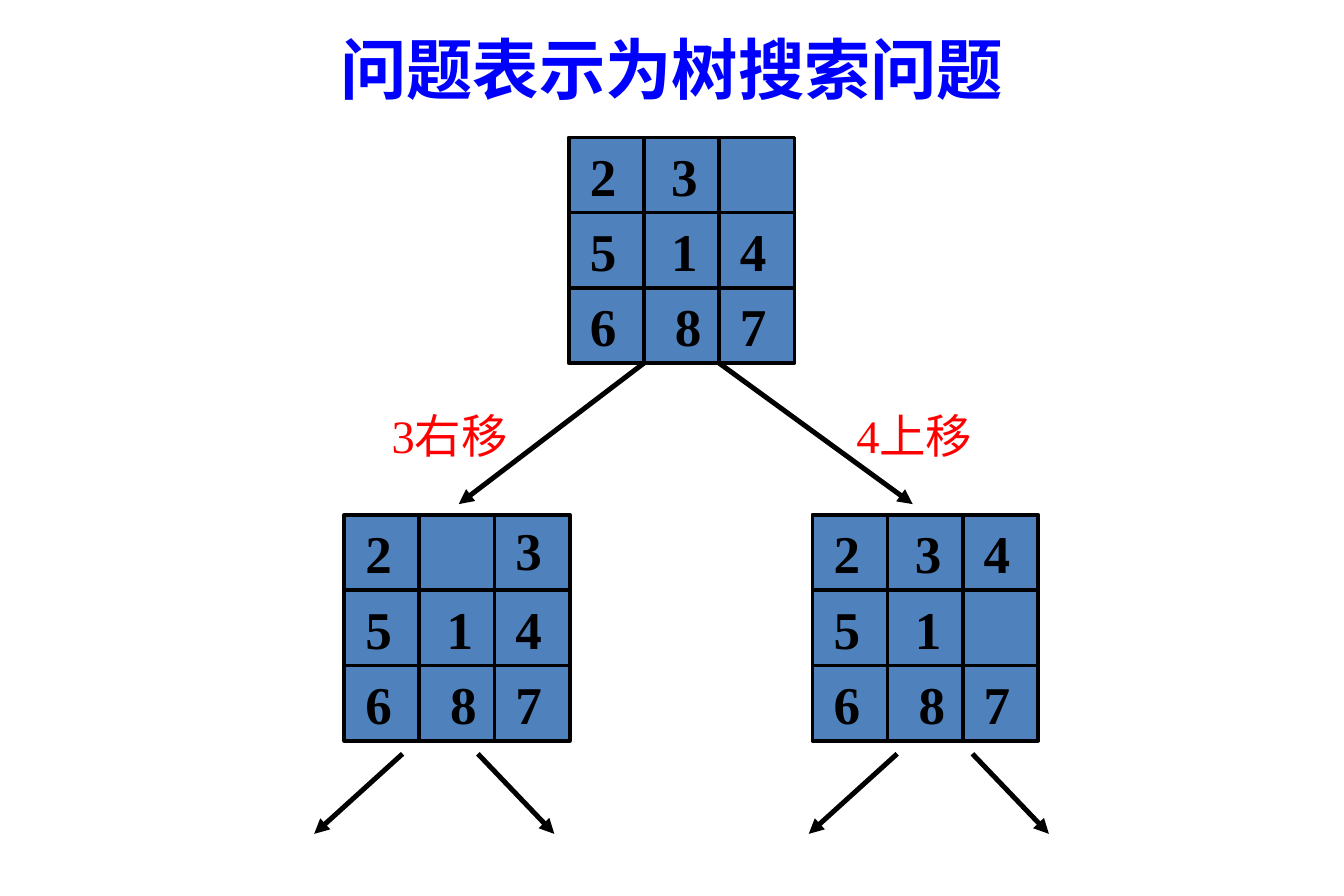
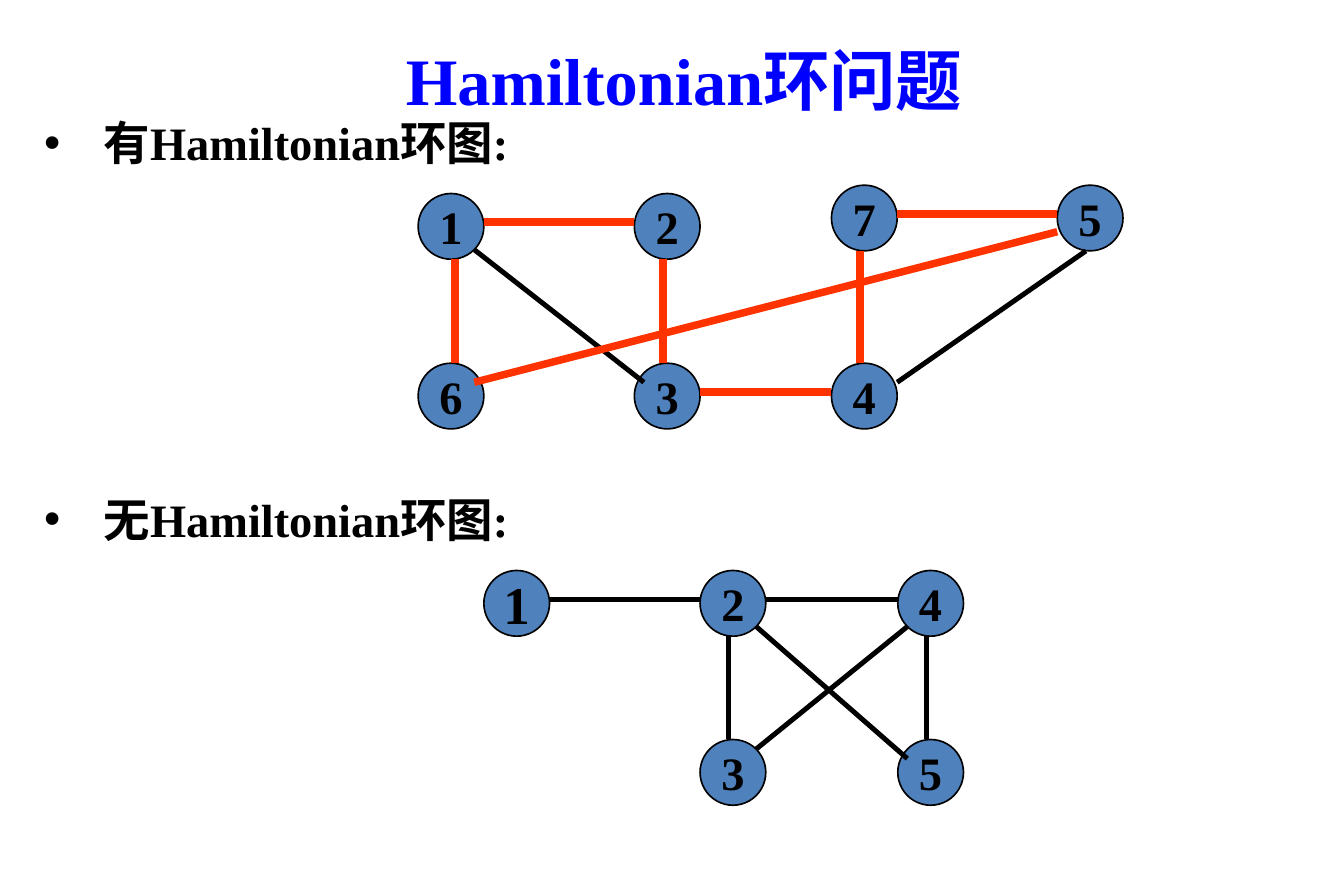
from dataclasses import dataclass

from pptx import Presentation
from pptx.dml.color import RGBColor
from pptx.enum.shapes import MSO_CONNECTOR, MSO_SHAPE
from pptx.enum.text import MSO_ANCHOR, MSO_AUTO_SIZE, PP_ALIGN
from pptx.oxml.ns import qn
from pptx.util import Inches, Pt
from lxml.etree import SubElement


@dataclass(frozen=True)
class Theme:
    title: str = "0000FF"
    ink: str = "000000"
    fill: str = "4F81BD"
    move: str = "FF0000"
    cycle: str = "FF3300"
    latin: str = "Times New Roman"
    chinese: str = "Noto Sans CJK SC"
    title_size: float = 40
    digit_size: float = 32
    body_size: float = 28
    outline: float = 1
    rule: float = 2.25
    edge: float = 3
    cycle_edge: float = 4.5


THEME = Theme()

# The slide is a lattice of 45 columns by 30 rows.
COLUMNS, ROWS = 45, 30
WIDTH, HEIGHT = Inches(11.25), Inches(7.5)

CELL = 2.52
BOARD = 3 * CELL
DIGIT_LEFTS = (0.32, 3.04, 5.34)
DIGIT_WIDTH = 1.68

NODE = 2.2
# Where an edge meets a node, measured from the node's top left corner.
PORTS = {
    "N": (0.96, 0), "S": (0.96, NODE), "W": (0, 0.96), "E": (NODE, 0.96),
    "NW": (0.32, 0.64), "NE": (1.88, 0.64),
    "SW": (0.32, 1.88), "SE": (1.88, 1.88),
    "S right": (1.24, NODE), "N right": (1.24, 0),
    "W low": (0, 1.56), "E high": (NODE, 0.64), "NE high": (1.88, 0.32),
}


def across(columns):
    return round(WIDTH * columns / COLUMNS)


def down(rows):
    return round(HEIGHT * rows / ROWS)


def place(left, top, width, height):
    return across(left), down(top), across(width), down(height)


def colour(value):
    return RGBColor.from_string(value)


def style_text(para, size, value, bold=True, latin=THEME.latin):
    for span in para.runs:
        font = span.font
        font.size, font.bold, font.name = Pt(size), bold, latin
        font.color.rgb = colour(value)
        SubElement(span._r.get_or_add_rPr(), qn("a:ea"), typeface=THEME.chinese)


def add_text(shapes, text, area, size, value, bold=True, latin=THEME.latin,
             align=None, wrap=False, grow=True):
    box = shapes.add_textbox(*place(*area))
    frame = box.text_frame
    frame.text = text
    frame.word_wrap = wrap
    frame.auto_size = MSO_AUTO_SIZE.SHAPE_TO_FIT_TEXT if grow else MSO_AUTO_SIZE.NONE
    para = frame.paragraphs[0]
    para.alignment = align
    style_text(para, size, value, bold, latin)
    return para


def add_title(page, text, area, **options):
    add_text(page.shapes, text, area, THEME.title_size, THEME.title, **options)


def add_bullet(page, text, top):
    para = add_text(page.shapes, text, (1.08, top, 17, 2.56), THEME.body_size, THEME.ink)
    properties = para._p.get_or_add_pPr()
    properties.set("marL", str(Inches(0.5)))
    properties.set("indent", str(-Inches(0.5)))
    SubElement(properties, qn("a:buFont"), typeface="Arial")
    SubElement(properties, qn("a:buChar"), char="•")


def add_line(shapes, start, end, width, value=THEME.ink, arrow=False):
    line = shapes.add_connector(
        MSO_CONNECTOR.STRAIGHT,
        across(start[0]), down(start[1]), across(end[0]), down(end[1]))
    line.line.width = Pt(width)
    line.line.color.rgb = colour(value)
    if arrow:
        SubElement(line.line._get_or_add_ln(), qn("a:tailEnd"), type="triangle")
    SubElement(line._element.spPr, qn("a:effectLst"))


def add_filled(shapes, kind, area, outline):
    shape = shapes.add_shape(kind, *place(*area))
    shape.shadow.inherit = False
    shape.fill.solid()
    shape.fill.fore_color.rgb = colour(THEME.fill)
    shape.line.color.rgb = colour(THEME.ink)
    shape.line.width = Pt(outline)
    return shape


def add_board(page, left, top, rows, nudges):
    """Draw a puzzle state; a space is the empty cell, nudges shift single digits."""
    shapes = page.shapes.add_group_shape().shapes
    add_filled(shapes, MSO_SHAPE.RECTANGLE, (left, top, BOARD, BOARD), THEME.rule)
    for step in (CELL, 2 * CELL):
        add_line(shapes, (left, top + step), (left + BOARD, top + step), THEME.rule)
        add_line(shapes, (left + step, top), (left + step, top + BOARD), THEME.rule)
    for row, digits in enumerate(rows):
        for column, digit in enumerate(digits):
            if digit == " ":
                continue
            right, lower = nudges.get(digit, (0, 0))
            area = (left + DIGIT_LEFTS[column] + right, top + row * CELL + lower,
                    DIGIT_WIDTH, CELL)
            add_text(shapes, digit, area, THEME.digit_size, THEME.ink)


def add_fork(page, left, top):
    """Draw the two arrows that lead on from a board."""
    for start, end in ((0, -2.96), (CELL, 5.08)):
        add_line(page.shapes, (left + start, top), (left + end, top + 2.68),
                 THEME.edge, arrow=True)


def add_node(shapes, label, left, top, size=THEME.body_size):
    node = add_filled(shapes, MSO_SHAPE.OVAL, (left, top, NODE, NODE), THEME.outline)
    frame = node.text_frame
    frame.text = label
    frame.word_wrap = False
    frame.vertical_anchor = MSO_ANCHOR.MIDDLE
    para = frame.paragraphs[0]
    para.alignment = PP_ALIGN.CENTER
    style_text(para, size, THEME.ink)


def add_graph(shapes, nodes, edges, cycle=(), sizes=None):
    """Draw nodes {label: corner} and edges (label, port, label, port)."""
    for label, corner in nodes.items():
        add_node(shapes, label, *corner, size=(sizes or {}).get(label, THEME.body_size))

    def end_point(label, port):
        return tuple(a + b for a, b in zip(nodes[label], PORTS[port]))

    for group, width, value in ((edges, THEME.edge, THEME.ink),
                                (cycle, THEME.cycle_edge, THEME.cycle)):
        for first, leave, second, arrive in group:
            add_line(shapes, end_point(first, leave), end_point(second, arrive),
                     width, value)


def build_tree_search(page):
    add_title(page, "问题表示为树搜索问题", (11, 0.76, 23.32, 3.08),
              latin=THEME.chinese, align=PP_ALIGN.JUSTIFY)
    root_left, root_top, child_top = 19.04, 4.6, 17.24
    eight = {"8": (0.12, 0)}
    add_board(page, root_left, root_top, ("23 ", "514", "687"), eight)
    add_board(page, 11.52, child_top, ("2 3", "514", "687"), {**eight, "3": (0, -0.12)})
    add_board(page, 27.2, child_top, ("234", "51 ", "687"), eight)
    for column, target in ((1, 15.36), (2, 30.56)):
        add_line(page.shapes, (root_left + column * CELL, root_top + BOARD),
                 (target, 16.88), THEME.edge, arrow=True)
    for text, left in (("3右移", 12.72), ("4上移", 28.28)):
        add_text(page.shapes, text, (left, 13.42, 6.6, 2.28), THEME.body_size,
                 THEME.move, bold=False, wrap=True)
    for left in (13.48, 30.04):
        add_fork(page, left, 25.24)


def build_hamiltonian(page):
    upper, raised, lower = 6.48, 6.2, 12.16
    add_graph(
        page.shapes,
        {"1": (14, upper), "2": (21.24, upper), "7": (27.84, raised),
         "5": (35.4, raised), "6": (14, lower), "3": (21.24, lower),
         "4": (27.84, lower)},
        edges=(("1", "SE", "3", "NW"), ("5", "S", "4", "E high")),
        cycle=(("1", "E", "2", "W"), ("2", "S", "3", "N"), ("3", "E", "4", "W"),
               ("4", "N", "7", "S"), ("7", "E", "5", "W"),
               ("6", "NE", "5", "W low"), ("1", "S right", "6", "N right")))
    upper, lower = 19.1, 24.76
    add_graph(
        page.shapes.add_group_shape().shapes,
        {"1": (16.2, upper), "2": (23.44, upper), "4": (30.06, upper),
         "3": (23.44, lower), "5": (30.06, lower)},
        edges=(("1", "E", "2", "W"), ("2", "S", "3", "N"), ("2", "E", "4", "W"),
               ("4", "S", "5", "N"), ("2", "SE", "5", "NW"),
               ("4", "SW", "3", "NE high")),
        sizes={"1": THEME.digit_size})
    add_bullet(page, "无Hamiltonian环图:", 16.24)
    add_bullet(page, "有Hamiltonian环图:", 3.64)
    add_title(page, "Hamiltonian环问题", (11.2, 1.12, 23.4, 2.44),
              align=PP_ALIGN.CENTER, wrap=True, grow=False)


def main():
    deck = Presentation()
    deck.slide_width, deck.slide_height = WIDTH, HEIGHT
    for build in (build_tree_search, build_hamiltonian):
        build(deck.slides.add_slide(deck.slide_layouts[6]))
    deck.save("out.pptx")


if __name__ == "__main__":
    main()
